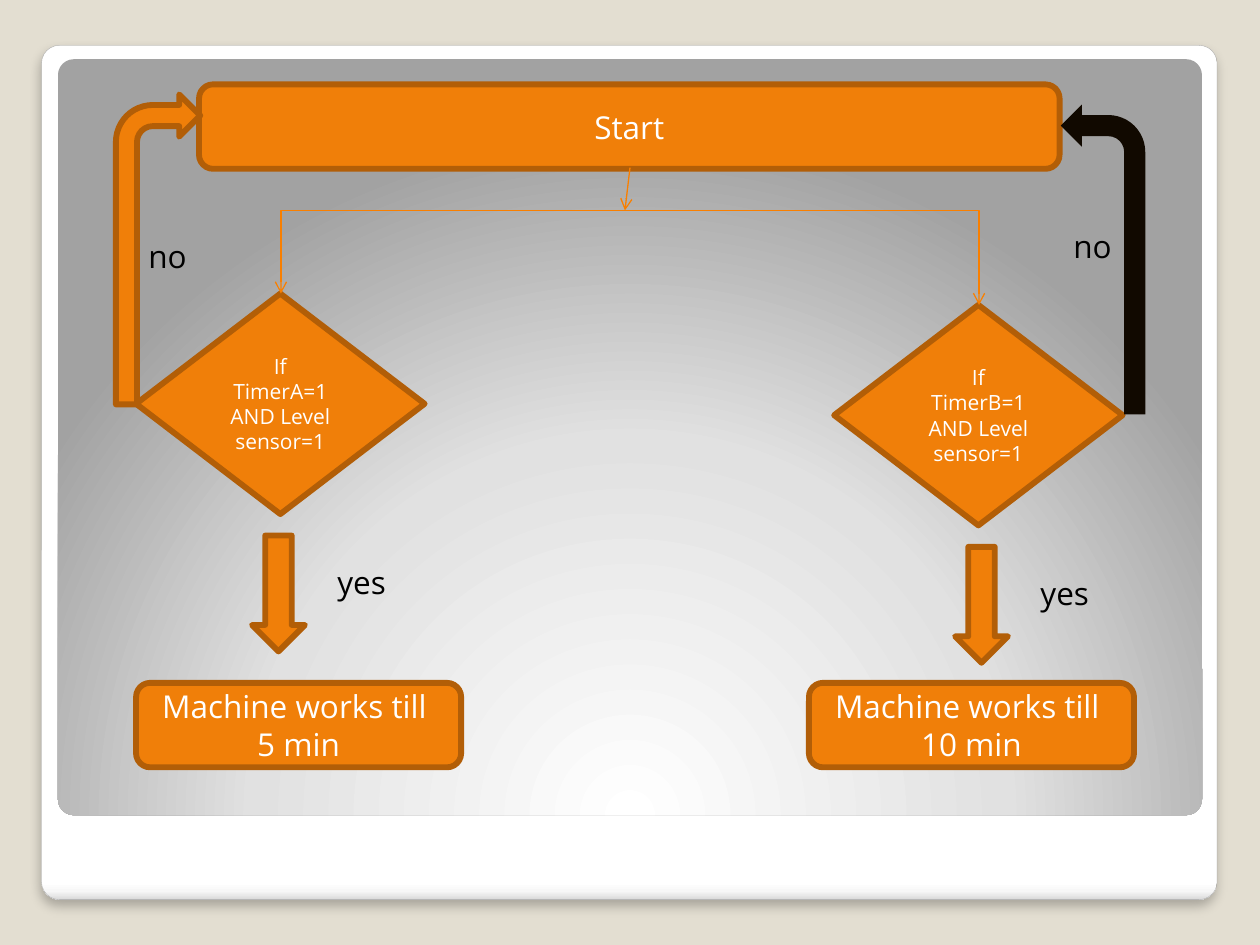
from dataclasses import dataclass
from lxml.etree import SubElement
from pptx import Presentation
from pptx.dml.color import RGBColor
from pptx.enum.shapes import MSO_CONNECTOR as Link, MSO_SHAPE as Kind
from pptx.enum.text import MSO_ANCHOR as Anchor, PP_ALIGN as Align
from pptx.oxml import parse_xml
from pptx.oxml.ns import nsdecls, qn
from pptx.util import Inches, Pt


@dataclass(frozen=True)
class Theme:
    """Colours, type and line sizes."""
    back: str = "E3DED1"
    fill: str = "F07F09"
    edge: str = "B25E07"
    link: str = "F97F00"
    dark: str = "110900"
    rim: str = "A4A4A4"
    light: str = "FFFFFF"
    ink: str = "000000"
    font: str = "Open Sans"
    body: int = 18
    small: int = 12
    thick: float = 3.35
    thin: float = 0.75
    card: tuple = ((0, "FFFFFF"), (98, "FFFFFF"), (99, "F7F7F7"), (100, "DADADA"))
    panel: tuple = ((0, "FFFFFF"), (55, "E1E1E1"), (100, "A2A2A2"))


def write(frame, text, size, color, font, align=Align.LEFT, anchor=Anchor.TOP):
    """Fill a text frame, one paragraph per line of text."""
    frame.word_wrap = True
    frame.vertical_anchor = anchor
    for i, line in enumerate(text.split("\n")):
        para = frame.add_paragraph() if i else frame.paragraphs[0]
        para.alignment = align
        run = para.add_run()
        run.text = line
        run.font.size, run.font.name = Pt(size), font
        run.font.color.rgb = RGBColor.from_string(color)


def blend(shape, stops, way):
    """Give a shape a gradient; way is the XML of its direction."""
    marks = "".join(f'<a:gs pos="{at * 1000}"><a:srgbClr val="{color}"/></a:gs>'
                    for at, color in stops)
    grad = parse_xml(f'<a:gradFill {nsdecls("a")} rotWithShape="1">'
                     f'<a:gsLst>{marks}</a:gsLst>{way}</a:gradFill>')
    shape.fill.background()
    none = shape._element.spPr.find(qn("a:noFill"))
    none.getparent().replace(none, grad)


def shade(shape, color, alpha, blur, dist):
    """Drop a soft shadow straight down."""
    shape._element.spPr.find(qn("a:effectLst")).append(parse_xml(
        f'<a:outerShdw {nsdecls("a")} blurRad="{Pt(blur)}" dist="{Pt(dist)}"'
        f' dir="5400000" algn="t" rotWithShape="0"><a:srgbClr val="{color}">'
        f'<a:alpha val="{alpha * 1000}"/></a:srgbClr></a:outerShdw>'))


class Chart:
    """The flow chart slide and its style."""

    def __init__(self, deck, theme):
        """Add a blank slide with a plain background."""
        self.theme = theme
        self.slide = deck.slides.add_slide(deck.slide_layouts[6])
        fill = self.slide.background.fill
        fill.solid()
        fill.fore_color.rgb = RGBColor.from_string(theme.back)

    def shape(self, kind, box, fill=None, edge=None, width=0):
        """Add a preset shape."""
        shape = self.slide.shapes.add_shape(kind, *map(Inches, box))
        shape.shadow.inherit = False
        if fill:
            shape.fill.solid()
            shape.fill.fore_color.rgb = RGBColor.from_string(fill)
        if edge:
            shape.line.color.rgb = RGBColor.from_string(edge)
            shape.line.width = Pt(width)
            SubElement(shape.line._get_or_add_ln(), qn("a:round"))
        else:
            shape.line.fill.background()
        return shape

    def sheet(self, box, stops, way, **edge):
        """Add a large rounded backdrop with a gradient."""
        shape = self.shape(Kind.ROUNDED_RECTANGLE, box, **edge)
        shape.adjustments[0] = 0.021
        blend(shape, stops, way)
        return shape

    def node(self, kind, box, text="", size=None):
        """Add an orange flow chart node."""
        look = self.theme
        shape = self.shape(kind, box, look.fill, look.edge, look.thick)
        if text:
            write(shape.text_frame, text, size or look.body, look.light,
                  look.font, align=Align.CENTER, anchor=Anchor.MIDDLE)

    def label(self, left, top, text):
        """Add a branch label."""
        box = self.slide.shapes.add_textbox(*map(Inches, (left, top, 0.67, 0.4)))
        write(box.text_frame, text, self.theme.body, self.theme.ink, self.theme.font)

    def arrow(self, start, end, bent=False):
        """Add a thin arrow, straight or with one corner."""
        kind = Link.ELBOW if bent else Link.STRAIGHT
        link = self.slide.shapes.add_connector(kind, *map(Inches, start + end))
        link.line.color.rgb = RGBColor.from_string(self.theme.link)
        link.line.width = Pt(self.theme.thin)
        SubElement(link.line._get_or_add_ln(), qn("a:tailEnd"), type="arrow")
        props = link._element.spPr
        SubElement(props, qn("a:effectLst"))
        if bent:
            props.find(qn("a:prstGeom")).set("prst", "bentConnector2")


def main():
    """Build and save the slide."""
    deck = Presentation()
    deck.slide_width, deck.slide_height = Inches(10), Inches(7.5)
    look = Theme()
    flow = Chart(deck, look)

    card = flow.sheet((0.33, 0.36, 9.33, 6.78), look.card,
                      '<a:lin ang="5400000" scaled="0"/>', edge=look.rim, width=0.16)
    shade(card, look.ink, 25, 6, 4)
    flow.sheet((0.46, 0.47, 9.08, 6), look.panel,
               '<a:path path="circle"><a:fillToRect l="50000" t="175000"'
               ' r="50000" b="-75000"/></a:path>')

    flow.node(Kind.ROUNDED_RECTANGLE, (1.58, 0.67, 6.83, 0.67), "Start")
    # timer, diamond left and top, box left, down arrow left, yes top, no place, minutes
    sides = (("A", 1.08, 2.33, 1.08, 2, 4.42, (1.08, 1.83), 5),
             ("B", 6.62, 2.42, 6.42, 7.58, 4.51, (8.42, 1.75), 10))
    for name, left, top, box, down, yes, no, mins in sides:
        flow.node(Kind.DIAMOND, (left, top, 2.29, 1.75),
                  f"If\nTimer{name}=1 AND Level sensor=1", look.small)
        flow.node(Kind.ROUNDED_RECTANGLE, (box, 5.42, 2.58, 0.67),
                  f"Machine works till \n{mins} min")
        flow.node(Kind.DOWN_ARROW, (down, top + 1.92, 0.42, 0.92))
        flow.label(down + 0.58, yes, "yes")
        flow.label(*no, "no")
        flow.arrow((5.08, 1.67), (left + 1.15, top), bent=True)
    flow.arrow((5, 1.33), (4.96, 1.67))

    flow.node(Kind.BENT_ARROW, (0.92, 0.75, 0.67, 2.46))
    back = flow.shape(Kind.BENT_ARROW, (8.42, 0.83, 0.67, 2.46), look.dark)
    back._element.spPr.find(qn("a:xfrm")).set("flipH", "1")
    deck.save("out.pptx")


main()
